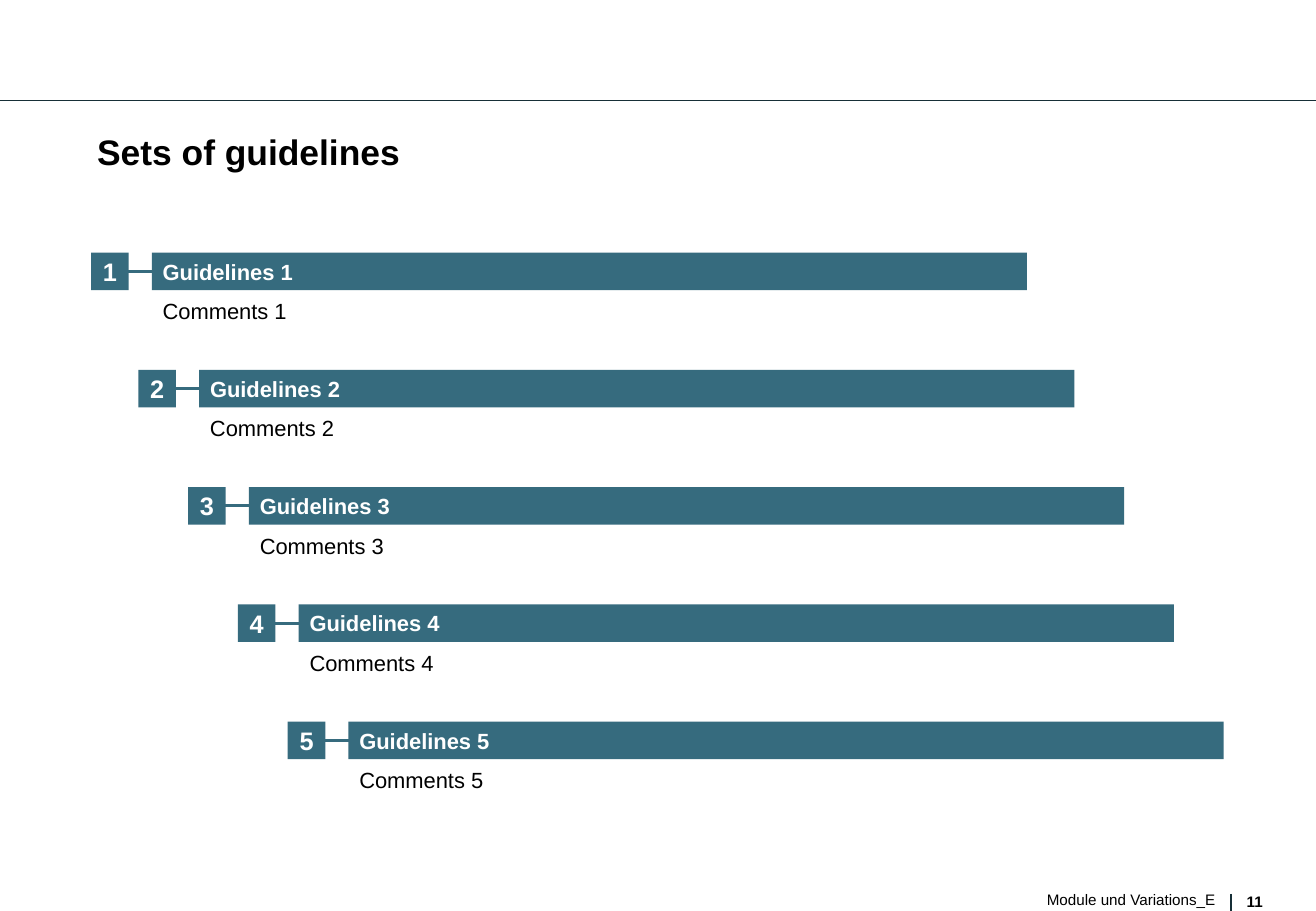
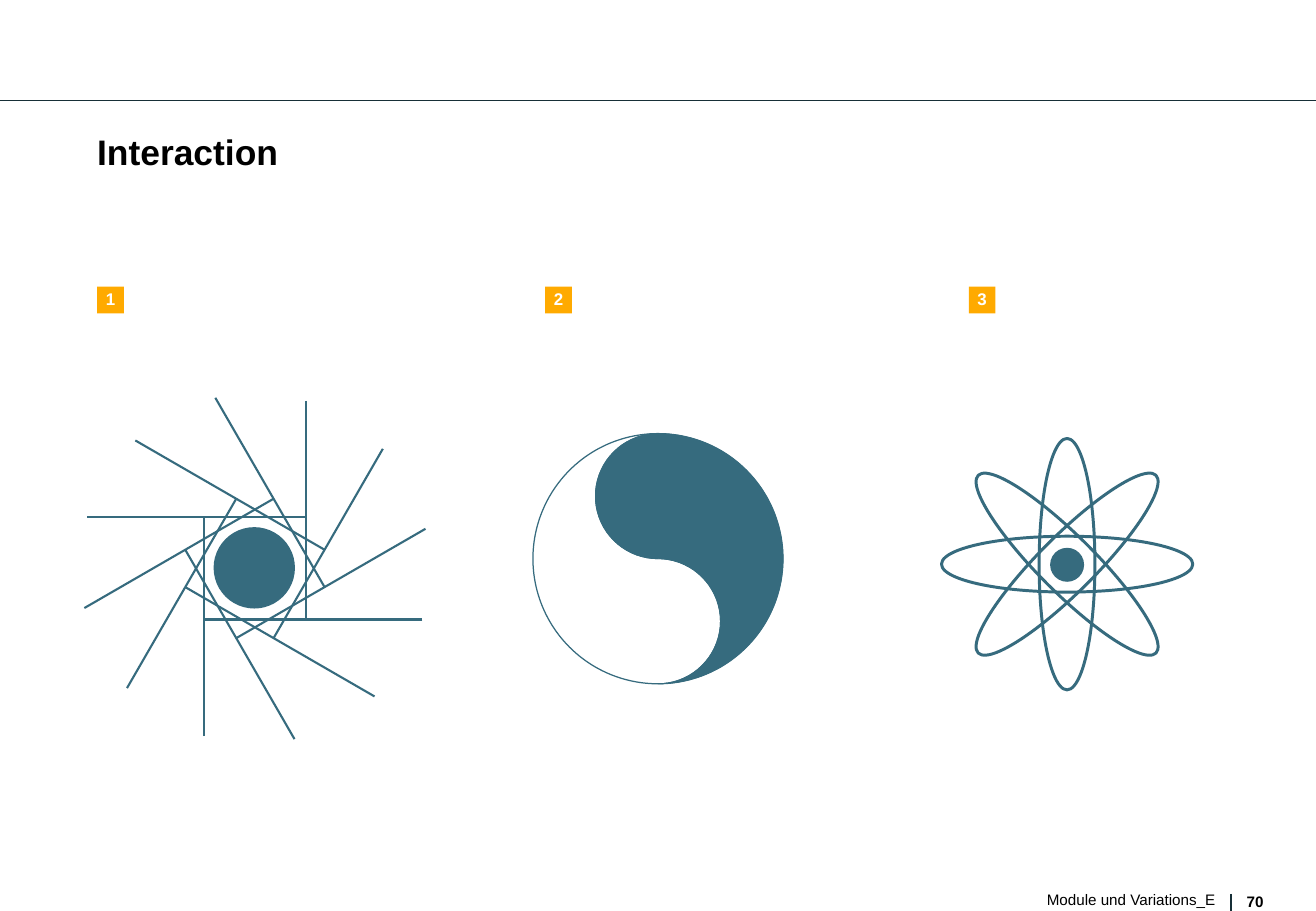
import math

from lxml import etree
from pptx import Presentation
from pptx.dml.color import RGBColor
from pptx.enum.shapes import MSO_CONNECTOR, MSO_SHAPE
from pptx.enum.text import MSO_ANCHOR, MSO_AUTO_SIZE, PP_ALIGN
from pptx.oxml.ns import qn
from pptx.util import Pt

EMU_PER_PX = 9144
SLIDE_WIDTH, SLIDE_HEIGHT = 1084, 750
FONT = "Arial"
COLOURS = {
    "teal": "366B7E",
    "dark": "172F37",
    "orange": "FFAA00",
    "black": "000000",
    "white": "FFFFFF",
}

STRAIGHT = MSO_CONNECTOR.STRAIGHT
RECTANGLE = MSO_SHAPE.RECTANGLE
OVAL = MSO_SHAPE.OVAL
TOP = MSO_ANCHOR.TOP
MIDDLE = MSO_ANCHOR.MIDDLE
LEFT = PP_ALIGN.LEFT
CENTER = PP_ALIGN.CENTER
RIGHT = PP_ALIGN.RIGHT
NO_AUTOFIT = MSO_AUTO_SIZE.NONE

TITLE_ONLY_LAYOUT = 5
GUIDELINE_LEFTS = (75, 114, 155, 196, 237)


def px(*lengths):
    return [round(length * EMU_PER_PX) for length in lengths]


def colour(name):
    return RGBColor.from_string(COLOURS[name])


def write(shape, text, size, text_colour="black", bold=False, align=LEFT,
          anchor=TOP, inset=0, spacing=None, wrap=True):
    frame = shape.text_frame
    frame.text = text
    frame.auto_size = NO_AUTOFIT
    frame.word_wrap = wrap
    frame.vertical_anchor = anchor
    frame.margin_left = px(inset)[0]
    frame.margin_right = frame.margin_top = frame.margin_bottom = 0
    paragraph = frame.paragraphs[0]
    paragraph.alignment = align
    if spacing:
        paragraph.line_spacing = spacing
    font = paragraph.runs[0].font
    font.name = FONT
    font.size = Pt(size)
    font.bold = bold
    font.color.rgb = colour(text_colour)


def paint(shape, fill=None, line=None, width=0):
    shape.shadow.inherit = False
    if fill:
        shape.fill.solid()
        shape.fill.fore_color.rgb = colour(fill)
    else:
        shape.fill.background()
    if line:
        shape.line.color.rgb = colour(line)
        shape.line.width = Pt(width)
    else:
        shape.line.fill.background()


def add_shape(slide, kind, box, **style):
    shape = slide.shapes.add_shape(kind, *px(*box))
    paint(shape, **style)
    return shape


def add_text(slide, box, text, size, **style):
    write(slide.shapes.add_textbox(*px(*box)), text, size, **style)


def add_line(slide, start, end, line, width):
    connector = slide.shapes.add_connector(STRAIGHT, *px(*start, *end))
    connector.line.color.rgb = colour(line)
    connector.line.width = Pt(width)
    etree.SubElement(connector._element.spPr, qn("a:effectLst"))


def add_outline(slide, points, close, **style):
    start, *rest = [px(*point) for point in points]
    builder = slide.shapes.build_freeform(*start, scale=1.0)
    builder.add_line_segments(rest, close=close)
    paint(builder.convert_to_shape(), **style)


def add_badge(slide, left, top, side, number, size, fill, spacing=None):
    badge = add_shape(slide, RECTANGLE, (left, top, side, side), fill=fill)
    write(badge, str(number), size, text_colour="white", bold=True,
          align=CENTER, anchor=MIDDLE, spacing=spacing, wrap=False)


def new_slide(presentation, title, page):
    layout = presentation.slide_layouts[TITLE_ONLY_LAYOUT]
    slide = presentation.slides.add_slide(layout)
    heading = slide.shapes.title
    heading.left, heading.top, heading.width, heading.height = px(80, 110, 936, 72)
    write(heading, title, 21, bold=True, spacing=0.93)
    add_line(slide, (0, 83), (SLIDE_WIDTH, 83), "dark", 0.75)
    add_line(slide, (1014, 736), (1014, SLIDE_HEIGHT), "dark", 0.75)
    add_text(slide, (1027, 735, 17, 14), str(page), 9, bold=True, wrap=False)
    add_text(slide, (622, 733, 379, 15), "Module und Variations_E", 9,
             align=RIGHT, spacing=Pt(11))
    return slide


def add_guideline(slide, number, left, top):
    middle = top + 15.5
    add_line(slide, (left + 15, middle), (left + 767, middle), "teal", 1.75)
    add_badge(slide, left, top, 31, number, 15, "teal")
    bar = add_shape(slide, RECTANGLE, (left + 50, top, 721, 31), fill="teal")
    write(bar, f"Guidelines {number}", 13, text_colour="white", bold=True,
          anchor=MIDDLE, inset=9)
    add_text(slide, (left + 59, top + 37, 703, 22), f"Comments {number}", 13,
             anchor=MIDDLE)


def rotate(point, center, degrees):
    angle = math.radians(degrees)
    x, y = point
    return (center[0] + x * math.cos(angle) - y * math.sin(angle),
            center[1] + x * math.sin(angle) + y * math.cos(angle))


def arc(center, radius, start, end):
    return [rotate((radius, 0), center, start + (end - start) * step / 36)
            for step in range(37)]


def add_pinwheel(slide, center):
    for degrees in range(0, 360, 30):
        start = rotate((-138, -42), center, degrees)
        end = rotate((42, -42), center, degrees)
        add_line(slide, start, end, "teal", 1.25)
    add_shape(slide, OVAL, (176, 434, 67, 67), fill="teal")


def add_yin_yang(slide, center, radius):
    x, y = center
    half = radius / 2
    lower_lobe = arc((x, y + half), half, 90, -90)
    upper_lobe = arc((x, y - half), half, 90, 270)
    outer_half = arc(center, radius, -90, 90)
    add_outline(slide, outer_half + lower_lobe[1:] + upper_lobe[1:-1], True,
                fill="teal", line="teal", width=0.5)
    add_shape(slide, OVAL, (x - radius, y - radius, 2 * radius, 2 * radius),
              line="teal", width=0.75)
    for lobe in (lower_lobe, upper_lobe):
        add_outline(slide, lobe, False, line="teal", width=0.5)


def add_atom(slide):
    for degrees in (0, 90, 315, 45):
        orbit = add_shape(slide, OVAL, (856, 361, 46, 207), line="teal", width=1.75)
        orbit.rotation = degrees
    add_shape(slide, OVAL, (865, 451, 28, 28), fill="teal")


def build_guidelines(presentation):
    slide = new_slide(presentation, "Sets of guidelines", 11)
    for index, left in enumerate(GUIDELINE_LEFTS):
        add_guideline(slide, index + 1, left, 208 + index * 193 / 2)


def build_interaction(presentation):
    slide = new_slide(presentation, "Interaction", 70)
    add_yin_yang(slide, (542, 460), 103)
    add_atom(slide)
    add_pinwheel(slide, (210, 468))
    for number, left in enumerate((80, 449, 798), start=1):
        add_badge(slide, left, 236, 22, number, 10, "orange", spacing=0.93)


def main():
    presentation = Presentation()
    presentation.slide_width, presentation.slide_height = px(SLIDE_WIDTH, SLIDE_HEIGHT)
    build_guidelines(presentation)
    build_interaction(presentation)
    presentation.save("out.pptx")


if __name__ == "__main__":
    main()
